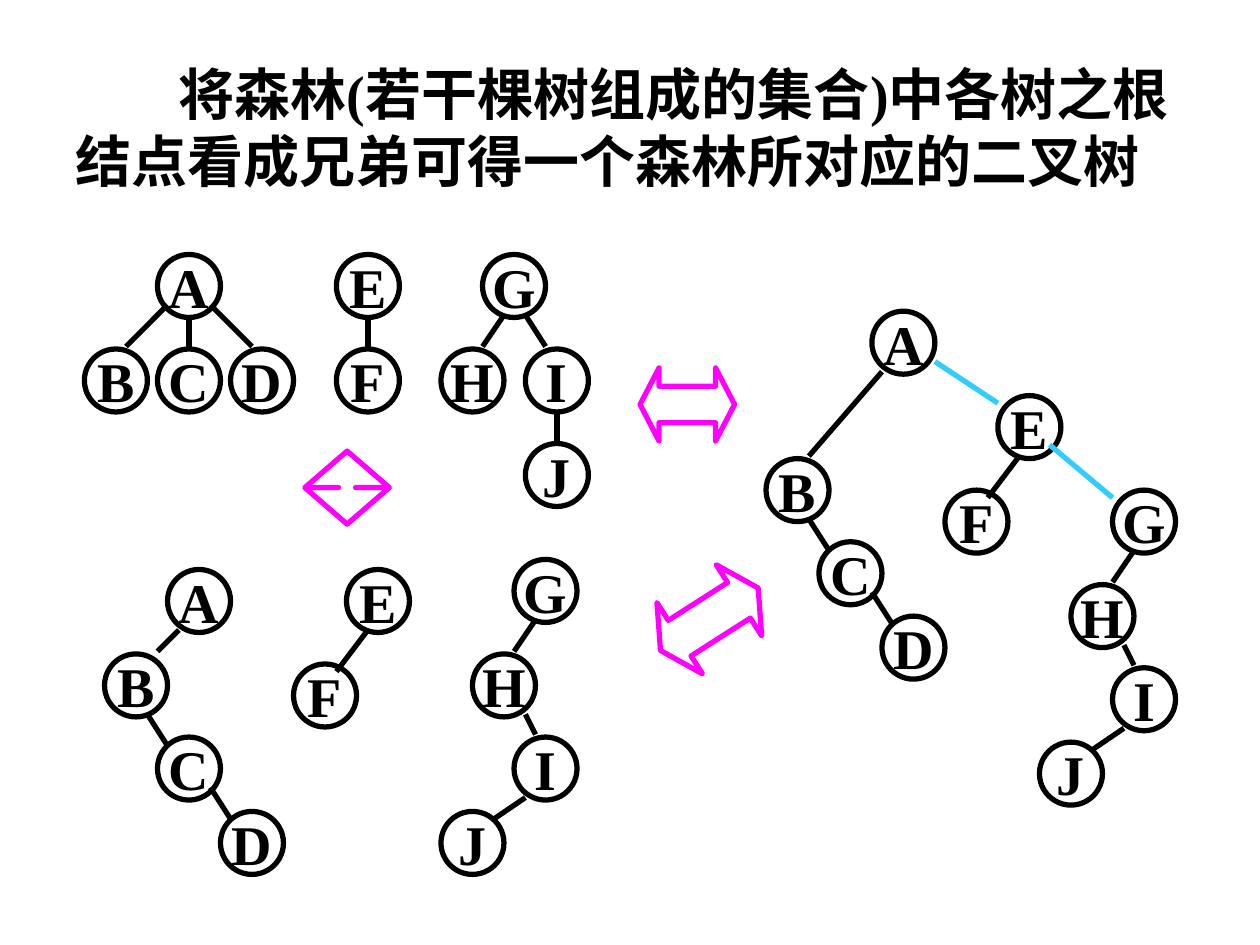
"""Build a slide showing how a forest maps to a single binary tree."""
from lxml.etree import SubElement
from pptx import Presentation
from pptx.dml.color import RGBColor
from pptx.enum.shapes import MSO_CONNECTOR as CONN, MSO_SHAPE as SHAPE
from pptx.enum.text import MSO_ANCHOR as ANCHOR, PP_ALIGN as ALIGN
from pptx.oxml.ns import qn
from pptx.util import Inches, Pt

TITLE = "将森林(若干棵树组成的集合)中各树之根结点看成兄弟可得一个森林所对应的二叉树"
FONT, SIZE, DIAMETER = "Times New Roman", 32, 0.5
BLACK, BLUE, PINK = "000000", "33CCFF", "FF00FF"

FOREST = (
    [("A", 1.25, 2.02), ("B", 0.67, 2.77), ("C", 1.25, 2.77), ("D", 1.83, 2.77),
     ("E", 2.67, 2.02), ("F", 2.67, 2.77),
     ("G", 3.83, 2.02), ("H", 3.5, 2.77), ("I", 4.17, 2.77), ("J", 4.17, 3.52)],
    [(1.5, 2.5, 1.5, 2.75), (1.33, 2.42, 1, 2.75), (1.67, 2.42, 2, 2.75),
     (2.92, 2.5, 2.92, 2.75), (4, 2.5, 3.83, 2.75), (4.17, 2.5, 4.33, 2.75),
     (4.42, 3.25, 4.42, 3.5)],
)
CHAIN_BCD = (
    [("B", 0.83, 5.19), ("C", 1.25, 5.85), ("D", 1.75, 6.44)],
    [(1.17, 5.67, 1.33, 5.92), (1.67, 6.25, 1.83, 6.5)],
)
CHAIN_EF = (
    [("E", 2.75, 4.52), ("F", 2.33, 5.27)],
    [(2.92, 5, 2.67, 5.33)],
)
CHAIN_GHIJ = (
    [("G", 4.08, 4.44), ("H", 3.75, 5.19), ("I", 4.08, 5.85), ("J", 3.5, 6.44)],
    [(4.25, 4.92, 4.08, 5.17), (4.17, 5.67, 4.25, 5.83), (4.17, 6.33, 3.92, 6.5)],
)
BINARY_ROOT = ([("A", 1.33, 4.52)], [(1.42, 5, 1.25, 5.17)])
MERGED_ROOT = ([("A", 6.92, 2.47)], [(7, 2.95, 6.42, 3.62)])

PLACEMENTS = [
    (FOREST, 0, 0),
    (BINARY_ROOT, 0, 0), (CHAIN_BCD, 0, 0), (CHAIN_EF, 0, 0), (CHAIN_GHIJ, 0, 0),
    (MERGED_ROOT, 0, 0), (CHAIN_BCD, 5.25, -1.55), (CHAIN_EF, 5.17, -1.38),
    (CHAIN_GHIJ, 4.75, -0.55),
]
SIBLING_LINKS = [(7.42, 2.87, 7.92, 3.2), (8.33, 3.53, 8.83, 3.95)]
ARROWS = [
    (SHAPE.UP_DOWN_ARROW, 2.42, 3.58, 0.67, 0.58, 0.2, 0),
    (SHAPE.LEFT_RIGHT_ARROW, 5.08, 2.92, 0.75, 0.58, 0.26, 0),
    (SHAPE.LEFT_RIGHT_ARROW, 5.17, 4.58, 0.92, 0.67, 0.27, 327.4),
]


def rgb(color):
    return RGBColor.from_string(color)


def style_text(p):
    for r in p.runs:
        r.font.name, r.font.size, r.font.bold = FONT, Pt(SIZE), True
        r.font.color.rgb = rgb(BLACK)


def add_outline(s, kind, box, color):
    sp = s.shapes.add_shape(kind, *map(Inches, box))
    sp.shadow.inherit = False
    sp.fill.background()
    sp.line.color.rgb = rgb(color)
    sp.line.width = Pt(3)
    return sp


def add_node(s, label, x, y):
    tf = add_outline(s, SHAPE.OVAL, (x, y, DIAMETER, DIAMETER), BLACK).text_frame
    tf.margin_left = tf.margin_right = tf.margin_top = tf.margin_bottom = 0
    tf.word_wrap = False
    tf.vertical_anchor = ANCHOR.MIDDLE
    tf.text = label
    tf.paragraphs[0].alignment = ALIGN.CENTER
    style_text(tf.paragraphs[0])


def add_edge(s, ends, color):
    line = s.shapes.add_connector(CONN.STRAIGHT, *map(Inches, ends))
    line.line.color.rgb = rgb(color)
    line.line.width = Pt(3)
    SubElement(line._element.spPr, qn("a:effectLst"))


def add_title(s):
    tf = s.shapes.add_textbox(*map(Inches, (0.5, 0.42, 9.17, 1.17))).text_frame
    tf.word_wrap = True
    tf.text = TITLE
    p = tf.paragraphs[0]
    p._p.get_or_add_pPr().set("indent", str(Inches(0.82)))
    style_text(p)


def main():
    prs = Presentation()
    prs.slide_width, prs.slide_height = Inches(10), Inches(7.5)
    s = prs.slides.add_slide(prs.slide_layouts[6])
    add_title(s)
    for (nodes, edges), dx, dy in PLACEMENTS:
        for label, x, y in nodes:
            add_node(s, label, x + dx, y + dy)
        for x1, y1, x2, y2 in edges:
            add_edge(s, (x1 + dx, y1 + dy, x2 + dx, y2 + dy), BLACK)
    for ends in SIBLING_LINKS:
        add_edge(s, ends, BLUE)
    for kind, x, y, w, h, head, angle in ARROWS:
        sp = add_outline(s, kind, (x, y, w, h), PINK)
        sp.adjustments[0], sp.adjustments[1] = 0.5, head
        sp.rotation = angle
    prs.save("out.pptx")


if __name__ == "__main__":
    main()
